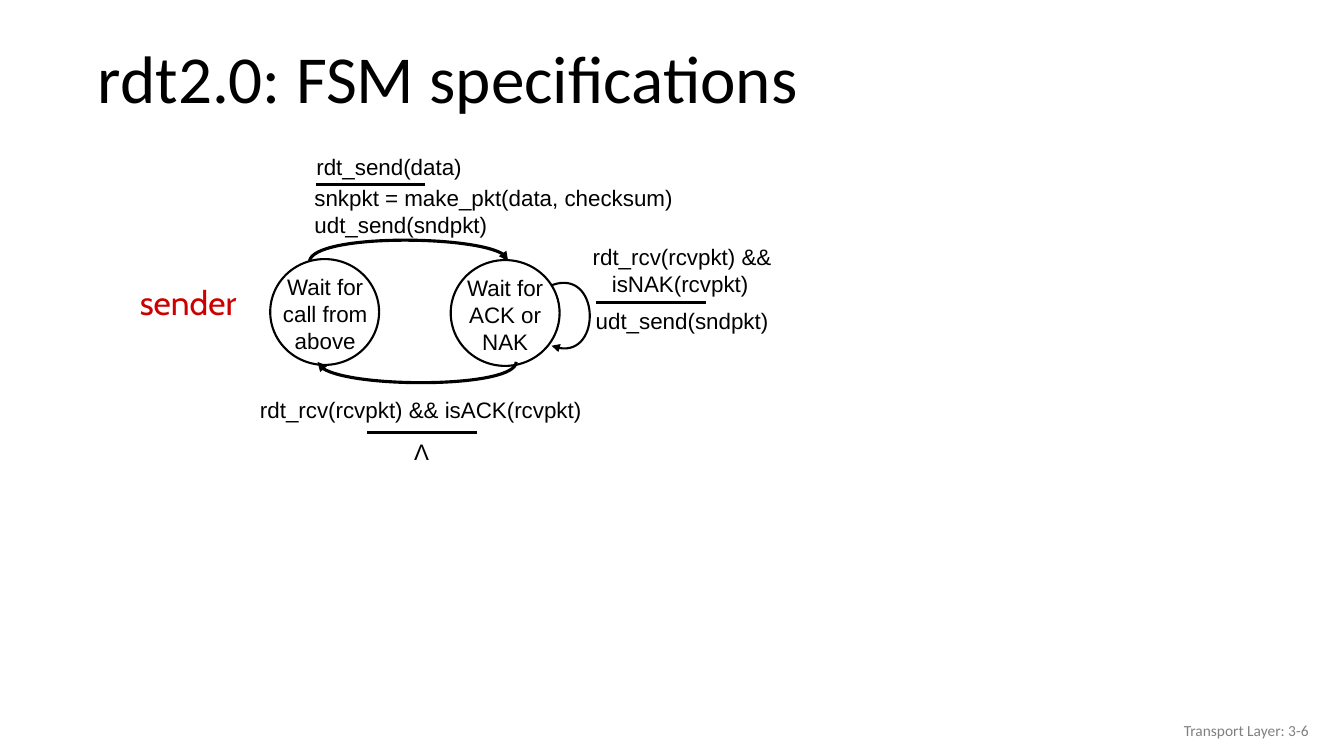
from lxml import etree
from pptx import Presentation
from pptx.dml.color import RGBColor
from pptx.enum.shapes import MSO_CONNECTOR, MSO_SHAPE
from pptx.enum.text import MSO_ANCHOR as Anchor, MSO_AUTO_SIZE as AutoSize, PP_ALIGN as Align
from pptx.oxml.ns import qn
from pptx.util import Inches, Pt

COLORS = {"ink": "000000", "paper": "FFFFFF", "sender": "CC0000", "footer": "808080"}


def rgb(name):
    return RGBColor.from_string(COLORS[name])


class FsmSlide:
    label_font, label_size = "Arial", 16
    thin, thick = 1.5, 2.25

    def __init__(self, prs):
        self.slide = prs.slides.add_slide(prs.slide_layouts[5])
        self.shapes = self.slide.shapes

    def style(self, paragraph, font, size, color, align):
        paragraph.font.name = font
        paragraph.font.size = Pt(size)
        paragraph.font.color.rgb = rgb(color)
        paragraph.alignment = align

    def outline(self, shape, width):
        shape.line.color.rgb = rgb("ink")
        shape.line.width = Pt(width)

    def title(self, text, box):
        title = self.shapes.title
        title.left, title.top, title.width, title.height = map(Inches, box)
        frame = title.text_frame
        frame.text = text
        frame.vertical_anchor = Anchor.MIDDLE
        frame.paragraphs[0].line_spacing = 0.9
        self.style(frame.paragraphs[0], "Calibri", 48, "ink", Align.LEFT)

    def text(self, lines, box, font=label_font, size=label_size, color="ink",
             align=Align.LEFT, anchor=Anchor.TOP, wrap=True):
        frame = self.shapes.add_textbox(*map(Inches, box)).text_frame
        frame.text = lines
        frame.word_wrap = wrap
        frame.vertical_anchor = anchor
        if not wrap:
            frame.auto_size = AutoSize.SHAPE_TO_FIT_TEXT
        for paragraph in frame.paragraphs:
            self.style(paragraph, font, size, color, align)
        return frame

    def state(self, name, left, top, name_box):
        circle = self.shapes.add_shape(
            MSO_SHAPE.OVAL, Inches(left), Inches(top), Inches(1.08), Inches(1.05))
        circle.shadow.inherit = False
        circle.fill.solid()
        circle.fill.fore_color.rgb = rgb("paper")
        self.outline(circle, self.thin)
        self.text(name, name_box, align=Align.CENTER)

    def rule(self, left, top):
        """Draw the bar between an event and its actions."""
        bar = self.shapes.add_connector(
            MSO_CONNECTOR.STRAIGHT, Inches(left), Inches(top), Inches(left + 1.09), Inches(top))
        self.outline(bar, self.thick)
        etree.SubElement(bar._element.spPr, qn("a:effectLst"))

    def transition(self, points, width, arrow_end="tailEnd"):
        """Draw a Bézier arrow from a start, two control points and an end."""
        start, *rest = [(Inches(x), Inches(y)) for x, y in points]
        builder = self.shapes.build_freeform(*start)
        builder.add_line_segments(rest, close=False)
        arrow = builder.convert_to_shape()
        arrow.shadow.inherit = False
        arrow.fill.background()
        self.outline(arrow, width)
        path = next(arrow._element.iter(qn("a:path")))
        curve = etree.SubElement(path, qn("a:cubicBezTo"))
        for segment in path.findall(qn("a:lnTo")):
            curve.append(segment[0])
            path.remove(segment)
        line = arrow._element.spPr.find(qn("a:ln"))
        etree.SubElement(line, qn(f"a:{arrow_end}"), type="triangle")


def main():
    prs = Presentation()
    prs.slide_width, prs.slide_height = Inches(13.33), Inches(7.5)
    fsm = FsmSlide(prs)
    fsm.title("rdt2.0: FSM specifications", (0.87, 0.32, 12.14, 0.98))

    fsm.state("Wait for call from above", 2.68, 2.57, (2.57, 2.66, 1.31, 0.67))

    # NAK received: resend
    fsm.transition([(5.47, 2.83), (5.95, 2.65), (5.98, 3.63), (5.47, 3.43)], fsm.thin)
    fsm.text("udt_send(sndpkt)", (5.81, 3, 1.93, 0.44))
    fsm.rule(5.91, 3)

    fsm.state("Wait for ACK or NAK", 4.47, 2.58, (4.42, 2.67, 1.18, 0.67))

    # Call from above: send the packet
    fsm.text("snkpkt = make_pkt(data, checksum)\nudt_send(sndpkt)", (3.02, 1.78, 3.98, 0.44))
    fsm.rule(3.13, 1.83)
    fsm.transition([(3.07, 2.59), (3.11, 2.32), (5.04, 2.33), (5.04, 2.59)], fsm.thick)
    fsm.text("rdt_send(data)", (3.04, 1.47, 2.47, 0.47))

    # ACK received: no action
    fsm.transition([(3.15, 3.59), (3.19, 3.86), (5.12, 3.85), (5.12, 3.59)],
                   fsm.thick, "headEnd")
    fsm.text("rdt_rcv(rcvpkt) && isACK(rcvpkt)", (2.48, 3.88, 3.88, 0.31))
    fsm.rule(3.64, 4.29)
    fsm.text("Λ", (4.01, 4.3, 0.35, 0.37), wrap=False)

    fsm.text("sender", (1.27, 2.75, 1.19, 0.5), "Cabin", 24, "sender", Align.CENTER, wrap=False)
    nak_event = fsm.text("rdt_rcv(rcvpkt) &&\nisNAK(rcvpkt)", (5.78, 2.36, 2.28, 0.69))
    nak_event.paragraphs[1]._p.get_or_add_pPr().set("marL", str(Inches(0.19)))
    fsm.text("Transport Layer: 3-6", (10.08, 7.05, 3, 0.4), "Calibri", 11, "footer",
             Align.RIGHT, Anchor.MIDDLE)

    prs.save("out.pptx")


if __name__ == "__main__":
    main()
